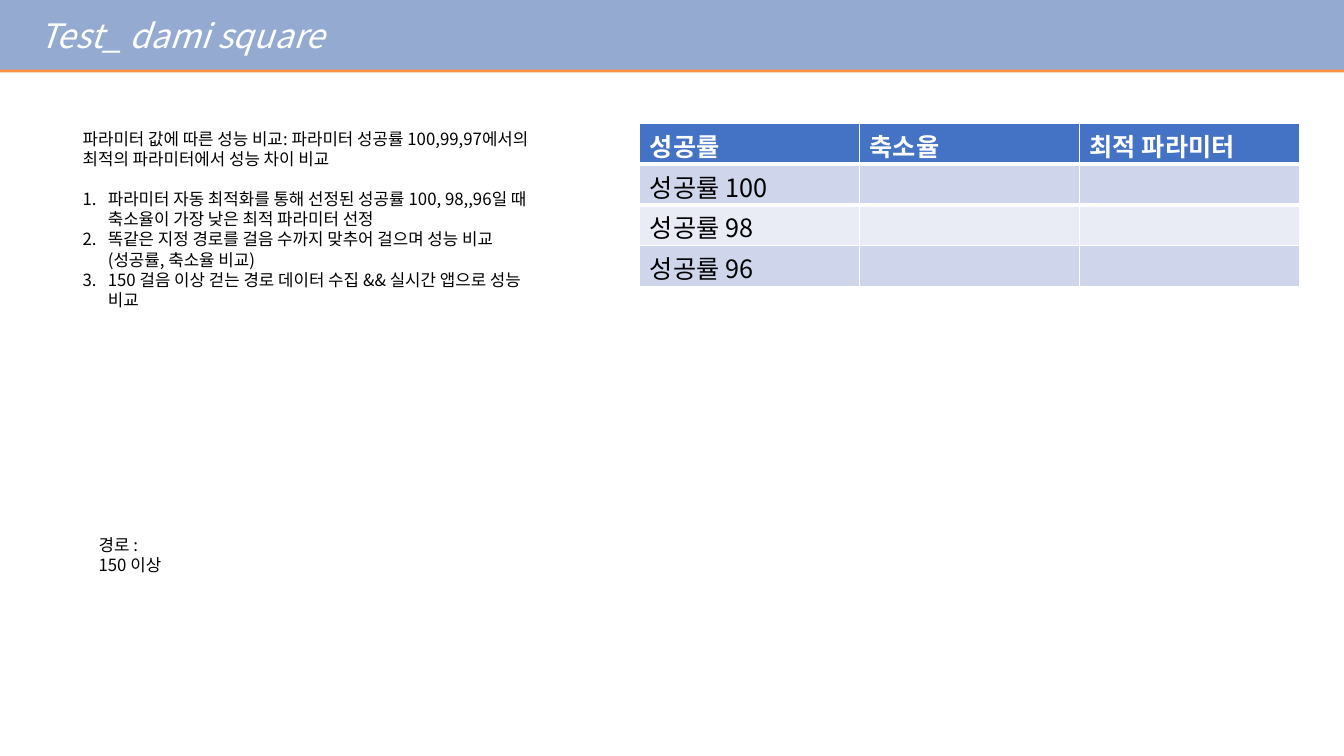
from lxml import etree
from pptx import Presentation
from pptx.dml.color import RGBColor
from pptx.enum.text import MSO_ANCHOR, MSO_AUTO_SIZE, PP_ALIGN
from pptx.oxml.ns import qn
from pptx.util import Inches, Pt

MIDDLE, TOP = MSO_ANCHOR.MIDDLE, MSO_ANCHOR.TOP
LEFT, NO_FIT = PP_ALIGN.LEFT, MSO_AUTO_SIZE.NONE
FONT = "Noto Sans CJK KR"
WHITE = RGBColor(0xFF, 0xFF, 0xFF)
BLACK = RGBColor(0x00, 0x00, 0x00)
BAND = RGBColor(0x94, 0xAA, 0xD1)
ORANGE = RGBColor(0xFE, 0x91, 0x3E)
HEADER = RGBColor(0x44, 0x72, 0xC4)
STRIPES = (RGBColor(0xCF, 0xD5, 0xEA), RGBColor(0xE9, 0xEB, 0xF5))
SLIDE_W, SLIDE_H = Inches(13.33), Inches(7.5)
LINE = 1.2

TITLE = "Test_ dami square"
INTRO = "파라미터 값에 따른 성능 비교: 파라미터 성공률 100,99,97에서의 최적의 파라미터에서 성능 차이 비교"
STEPS = (
    "파라미터 자동 최적화를 통해 선정된 성공률 100, 98,,96일 때 축소율이 가장 낮은 최적 파라미터 선정",
    "똑같은 지정 경로를 걸음 수까지 맞추어 걸으며 성능 비교 (성공률, 축소율 비교)",
    "150 걸음 이상 걷는 경로 데이터 수집 && 실시간 앱으로 성능 비교",
)
ROUTE = ("경로 :", "150 이상")
RESULTS = (
    ("성공률", "축소율", "최적 파라미터"),
    ("성공률 100", "", ""),
    ("성공률 98", "", ""),
    ("성공률 96", "", ""),
)


def box(left, top, width, height):
    """Turn shares of the slide's size into lengths."""
    return (round(SLIDE_W * left), round(SLIDE_H * top),
            round(SLIDE_W * width), round(SLIDE_H * height))


def place(sp, area):
    """Move a shape to the given area."""
    sp.left, sp.top, sp.width, sp.height = area


def add_text(p, text, size, color, bold=False, italic=False):
    """Write one run into a paragraph with fixed line spacing."""
    p.alignment = LEFT
    p.line_spacing = Pt(size * LINE)
    p.space_before = Pt(0)
    r = p.add_run()
    r.text = text
    font = r.font
    font.name, font.size, font.bold, font.italic = FONT, Pt(size), bold, italic
    font.color.rgb = color
    rPr = r._r.get_or_add_rPr()
    rPr.set("kern", "0")
    etree.SubElement(rPr, qn("a:ea"), typeface=FONT)


def set_marker(p, numbered):
    """Give a paragraph a number with a hanging indent, or no marker."""
    indent = Inches(0.25) if numbered else 0
    pPr = p._p.get_or_add_pPr()
    pPr.set("marL", str(indent))
    pPr.set("indent", str(-indent))
    if numbered:
        etree.SubElement(pPr, qn("a:buAutoNum"), type="arabicPeriod")
    else:
        etree.SubElement(pPr, qn("a:buNone"))


def set_edge(cell, side, width):
    """Draw a white line along one side of a cell."""
    ln = etree.Element(qn("a:" + side), w=str(Pt(width)))
    fill = etree.SubElement(ln, qn("a:solidFill"))
    etree.SubElement(fill, qn("a:srgbClr"), val=str(WHITE))
    cell._tc.get_or_add_tcPr().insert(0, ln)


def add_title(s, area):
    """Fill the title band and underline it with a solid shadow."""
    sp = s.shapes.title
    place(sp, area)
    sp.fill.solid()
    sp.fill.fore_color.rgb = BAND
    effects = etree.SubElement(sp._element.spPr, qn("a:effectLst"))
    shadow = etree.SubElement(effects, qn("a:outerShdw"), dist=str(Pt(2)),
                              dir="5400000", algn="t", rotWithShape="0")
    etree.SubElement(shadow, qn("a:srgbClr"), val=str(ORANGE))
    tf = sp.text_frame
    tf.auto_size, tf.vertical_anchor = NO_FIT, MIDDLE
    tf.margin_left = Inches(0.39)
    add_text(tf.paragraphs[0], TITLE, 24, WHITE, italic=True)


def add_plan(s, area):
    """Write the introduction and the numbered steps in the body."""
    sp = s.placeholders[1]
    place(sp, area)
    tf = sp.text_frame
    tf.auto_size, tf.vertical_anchor = NO_FIT, TOP
    p = tf.paragraphs[0]
    add_text(p, INTRO, 12, BLACK)
    p.space_after = Pt(12 * LINE)
    set_marker(p, False)
    for step in STEPS:
        p = tf.add_paragraph()
        add_text(p, step, 12, BLACK)
        set_marker(p, True)


def add_results(s, area):
    """Draw the success rate table with a striped body."""
    rows, cols = len(RESULTS), len(RESULTS[0])
    table = s.shapes.add_table(rows, cols, *area).table
    for i, values in enumerate(RESULTS):
        head = i == 0
        for j, value in enumerate(values):
            cell = table.cell(i, j)
            cell.margin_top, cell.margin_bottom = Inches(0.1), 0
            cell.fill.solid()
            cell.fill.fore_color.rgb = HEADER if head else STRIPES[(i - 1) % 2]
            if i < 2:
                set_edge(cell, "lnB" if head else "lnT", 3)
            if value:
                add_text(cell.text_frame.paragraphs[0], value, 18,
                         WHITE if head else BLACK, bold=head)


def add_route(s, area):
    """Write the route note."""
    tf = s.shapes.add_textbox(*area).text_frame
    tf.word_wrap = True
    for i, line in enumerate(ROUTE):
        p = tf.add_paragraph() if i else tf.paragraphs[0]
        add_text(p, line, 12, BLACK)


prs = Presentation()
prs.slide_width, prs.slide_height = SLIDE_W, SLIDE_H
s = prs.slides.add_slide(prs.slide_layouts[1])
add_title(s, box(0, 0, 1, 0.092))
add_plan(s, box(0.054, 0.163, 0.349, 0.283))
add_results(s, box(0.476, 0.163, 0.491, 0.216))
add_route(s, box(0.066, 0.701, 0.349, 0.095))
prs.save("out.pptx")
